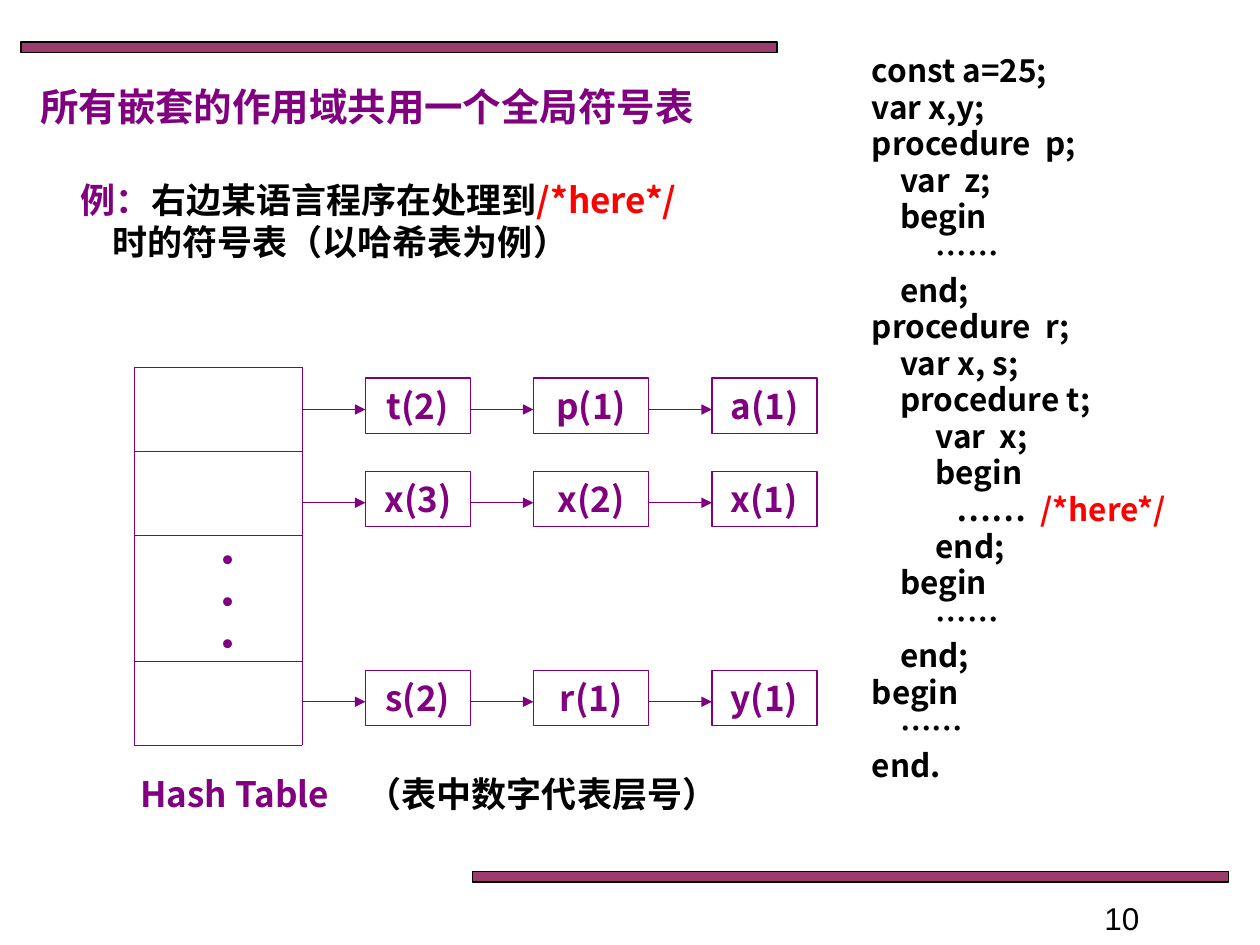
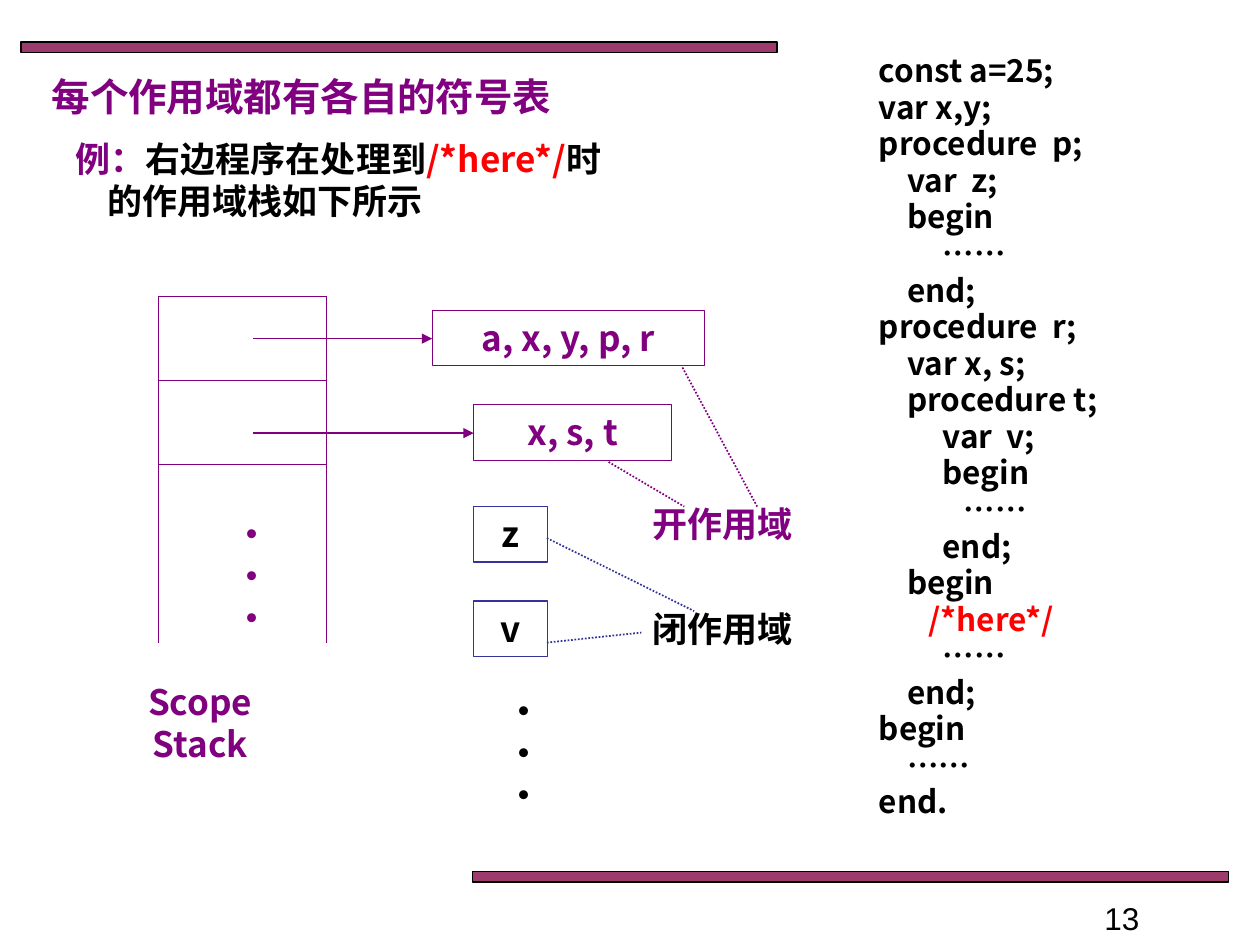
from dataclasses import dataclass
from typing import Optional

from lxml.etree import SubElement
from pptx import Presentation
from pptx.dml.color import RGBColor
from pptx.enum.dml import MSO_LINE
from pptx.enum.shapes import MSO_CONNECTOR, MSO_SHAPE
from pptx.enum.text import MSO_ANCHOR, MSO_AUTO_SIZE, PP_ALIGN
from pptx.oxml.ns import qn
from pptx.slide import Slide, SlideLayout
from pptx.text.text import TextFrame
from pptx.util import Pt

FONT = "Noto Sans CJK SC"
PURPLE, BLUE, RED, BLACK, BAND = "800080", "333399", "FF0000", "000000", "993366"
HERE = "/*here*/"
MARKS = {HERE: RED, "例：": PURPLE}
BOX_HEIGHT = 31.7
COLUMN = 4.05  # width of one code column at 18 pt


@dataclass
class Line:
    """One paragraph and its left indent in points."""
    text: str
    indent: float = 0


@dataclass
class Box:
    """An outlined box with a centred label."""
    text: str
    left: float
    top: float
    width: float
    line: str = PURPLE
    color: str = PURPLE


@dataclass
class Link:
    """A straight line between two points."""
    x1: float
    y1: float
    x2: float
    y2: float
    color: str = PURPLE
    arrow: bool = False
    dotted: bool = False


def rgb(value: str) -> RGBColor:
    """Turn a hex string into a colour."""
    return RGBColor.from_string(value)


def code(columns: int, text: str) -> Line:
    """Make a program line that starts at a given column."""
    return Line(text, columns * COLUMN)


PROGRAM_HEAD = [
    code(0, "const a=25;"), code(0, "var x,y;"), code(0, "procedure  p;"),
    code(4, "var  z;"), code(4, "begin"), code(9, "……"), code(4, "end;"),
    code(0, "procedure  r;"), code(4, "var x, s;"), code(4, "procedure t;"),
]
PROGRAM_TAIL = [
    code(9, "……"), code(4, "end;"), code(0, "begin"), code(4, "……"), code(0, "end."),
]


def split_marks(text: str, color: str) -> list[tuple[str, str]]:
    """Split text into coloured pieces around the marked words."""
    for mark, mark_color in MARKS.items():
        if mark in text:
            before, _, after = text.partition(mark)
            return (split_marks(before, color) + [(mark, mark_color)]
                    + split_marks(after, color))
    return [(text, color)] if text else []


def write(tf: TextFrame, lines: list[Line], size: float, color: str,
          align: PP_ALIGN = PP_ALIGN.LEFT, leading: float = 1.2,
          before: float = 0, font: str = FONT, bold: bool = True) -> None:
    """Fill a text frame with formatted paragraphs."""
    tf.auto_size = MSO_AUTO_SIZE.NONE
    tf.vertical_anchor = MSO_ANCHOR.TOP
    tf.margin_left = tf.margin_right = Pt(7.2)
    tf.margin_top = tf.margin_bottom = Pt(3.6)
    for i, line in enumerate(lines):
        p = tf.add_paragraph() if i else tf.paragraphs[0]
        p.alignment = align
        p.line_spacing = Pt(round(size * leading, 1))
        p.space_before = Pt(before)
        pPr = p._p.get_or_add_pPr()
        pPr.set("marL", str(Pt(line.indent)))
        pPr.set("indent", "0")
        SubElement(pPr, qn("a:buNone"))
        for text, run_color in split_marks(line.text, color):
            r = p.add_run()
            r.text = text
            r.font.size = Pt(size)
            r.font.bold = bold
            r.font.color.rgb = rgb(run_color)
            r.font.name = font
            SubElement(r._r.get_or_add_rPr(), qn("a:ea"), typeface=font)


def place(sp, left: float, top: float, width: float, height: float) -> None:
    """Move and size a placeholder."""
    sp.left, sp.top, sp.width, sp.height = Pt(left), Pt(top), Pt(width), Pt(height)


def add_label(s: Slide, text: str, left: float, top: float, width: float,
              height: float = BOX_HEIGHT, color: str = PURPLE, wrap: bool = False,
              align: PP_ALIGN = PP_ALIGN.CENTER) -> None:
    """Add a bold 20 pt label without outline."""
    sp = s.shapes.add_textbox(Pt(left), Pt(top), Pt(width), Pt(height))
    sp.text_frame.word_wrap = wrap
    write(sp.text_frame, [Line(text)], 20, color, align)


def add_dots(s: Slide, left: float, top: float, color: str = PURPLE) -> None:
    """Add three dots that a narrow box stacks vertically."""
    add_label(s, "•••", left, top, 18, 80, color, wrap=True)


def add_box(s: Slide, box: Box) -> None:
    """Draw an outlined box."""
    sp = s.shapes.add_shape(MSO_SHAPE.RECTANGLE, Pt(box.left), Pt(box.top),
                            Pt(box.width), Pt(BOX_HEIGHT))
    sp.shadow.inherit = False
    sp.fill.background()
    sp.line.color.rgb = rgb(box.line)
    sp.line.width = Pt(0.75)
    write(sp.text_frame, [Line(box.text)], 20, box.color, PP_ALIGN.CENTER)


def add_link(s: Slide, link: Link) -> None:
    """Draw a plain, dotted or arrowed line."""
    c = s.shapes.add_connector(MSO_CONNECTOR.STRAIGHT, Pt(link.x1), Pt(link.y1),
                               Pt(link.x2), Pt(link.y2))
    c.line.color.rgb = rgb(link.color)
    c.line.width = Pt(1 if link.dotted else 0.75)
    if link.dotted:
        c.line.dash_style = MSO_LINE.ROUND_DOT
    spPr = c.element.spPr
    if link.arrow:
        SubElement(spPr.find(qn("a:ln")), qn("a:tailEnd"), type="triangle")
    SubElement(spPr, qn("a:effectLst"))


def add_frame(s: Slide, left: float, right: float, rules: list[float],
              bottom: float) -> None:
    """Draw two sides and the horizontal rules of a column of cells."""
    for x in (left, right):
        add_link(s, Link(x, rules[0], x, bottom))
    for y in rules:
        add_link(s, Link(left, y, right, y))


def add_bands(s: Slide, layout: SlideLayout) -> None:
    """Draw the two bands and hand them over to the layout."""
    for i, (left, top) in enumerate([(12, 24), (270, 498)]):
        sp = s.shapes.add_shape(MSO_SHAPE.RECTANGLE, Pt(left), Pt(top), Pt(432), Pt(6))
        sp.shadow.inherit = False
        sp.fill.solid()
        sp.fill.fore_color.rgb = rgb(BAND)
        fill = sp.element.spPr.find(".//" + qn("a:srgbClr"))
        SubElement(fill, qn("a:alpha"), val="96000")
        sp.line.color.rgb = rgb(BLACK)
        sp.line.width = Pt(0.75)
        sp.element.nvSpPr.cNvPr.set("id", str(101 + i))
        layout.shapes.element.append(sp.element)


def add_slide(prs: Presentation, layout: SlideLayout, number: str, title: str,
              title_at: tuple[float, float], example: list[str],
              example_at: tuple[float, float], program: list[Line],
              program_left: float) -> Slide:
    """Add a slide with title, example, program and page number."""
    s = prs.slides.add_slide(layout)
    heading, intro, listing = s.placeholders
    place(heading, *title_at, 428, 34)
    write(heading.text_frame, [Line(title)], 22, PURPLE)
    place(intro, *example_at, 440, 55.5)
    write(intro.text_frame, [Line(t, 18 * (i + 1)) for i, t in enumerate(example)],
          20, BLACK)
    place(listing, program_left, 30, 204.5, 456.5)
    write(listing.text_frame, program, 18, BLACK, leading=0.96, before=3.6)
    sp = s.shapes.add_textbox(Pt(624), Pt(510), Pt(90), Pt(20))
    write(sp.text_frame, [Line(number)], 18, BLACK, font="Arial", bold=False)
    return s


def draw_chain(s: Slide, labels: list[str], start: float, y: float) -> None:
    """Draw one hash chain: an arrow and a box for every entry."""
    x = start
    for text, width in zip(labels, (60, 66, 60)):
        add_link(s, Link(x, y, x + 36, y, arrow=True))
        add_box(s, Box(text, x + 36, y - 18, width))
        x += 36 + width


def build_hash_table(prs: Presentation, layout: SlideLayout,
                     bands: Optional[bool] = False) -> None:
    """Build the slide with one global symbol table."""
    program = PROGRAM_HEAD + [
        code(9, "var  x;"), code(9, "begin"), code(12, "……  " + HERE),
        code(9, "end;"), code(4, "begin"),
    ] + PROGRAM_TAIL
    s = add_slide(prs, layout, "10", "所有嵌套的作用域共用一个全局符号表", (15.8, 44),
                  ["例：右边某语言程序在处理到" + HERE, "时的符号表（以哈希表为例）"],
                  (21, 98.5), program, 491)
    if bands:
        add_bands(s, layout)
    left, right = 76.8, 172.8
    add_frame(s, left, right, [210, 258, 306, 378, 426], 426)
    add_dots(s, 113, 304)
    chains = {234: ["t(2)", "p(1)", "a(1)"],
              287.3: ["x(3)", "x(2)", "x(1)"],
              401: ["s(2)", "r(1)", "y(1)"]}
    for y, labels in chains.items():
        draw_chain(s, labels, right, y)
    add_label(s, "Hash Table", 73, 438, 125, align=PP_ALIGN.LEFT)
    add_label(s, "（表中数字代表层号）", 202.5, 438, 216, color=BLACK, align=PP_ALIGN.LEFT)


def build_scope_stack(prs: Presentation, layout: SlideLayout) -> None:
    """Build the slide with one symbol table per scope."""
    program = PROGRAM_HEAD + [
        code(9, "var  v;"), code(9, "begin"), code(12, "……"), code(9, "end;"),
        code(4, "begin"), code(7, HERE),
    ] + PROGRAM_TAIL
    s = add_slide(prs, layout, "13", "每个作用域都有各自的符号表", (22.3, 38),
                  ["例：右边程序在处理到" + HERE + "时", "的作用域栈如下所示"],
                  (18, 75), program, 495)
    add_frame(s, 90.7, 186.7, [169.4, 217.4, 265.4], 367.2)
    add_dots(s, 127, 289.5)
    add_dots(s, 282.3, 390.3, BLACK)
    boxes = [Box("a, x, y, p, r", 247, 177.3, 155.5),
             Box("x, s, t", 270.7, 231.3, 113),
             Box("z", 270.7, 289.5, 42, BLUE, BLACK),
             Box("v", 270.7, 343.5, 42, BLUE, BLACK)]
    for box in boxes:
        add_box(s, box)
    for box in boxes[:2]:
        y = box.top + 16.2
        add_link(s, Link(144.7, y, box.left, y, arrow=True))
    add_label(s, "开作用域", 365, 283.7, 95.8)
    add_label(s, "闭作用域", 365, 343.5, 95.8, color=BLACK)
    for link in (Link(390, 210, 432.7, 289.5, dotted=True),
                 Link(347.8, 264, 391, 289.5, dotted=True),
                 Link(312.5, 307.5, 396.7, 349.2, BLUE, dotted=True),
                 Link(312.5, 367.2, 366.5, 361.5, BLUE, dotted=True)):
        add_link(s, link)
    add_label(s, "Scope Stack", 73.4, 385.2, 82, 55.5, wrap=True)


def main() -> None:
    """Build and save the presentation."""
    prs = Presentation()
    prs.slide_width, prs.slide_height = Pt(720), Pt(540)
    layout = prs.slide_layouts.get_by_name("Two Content")
    build_hash_table(prs, layout, bands=True)
    build_scope_stack(prs, layout)
    prs.save("out.pptx")


main()
